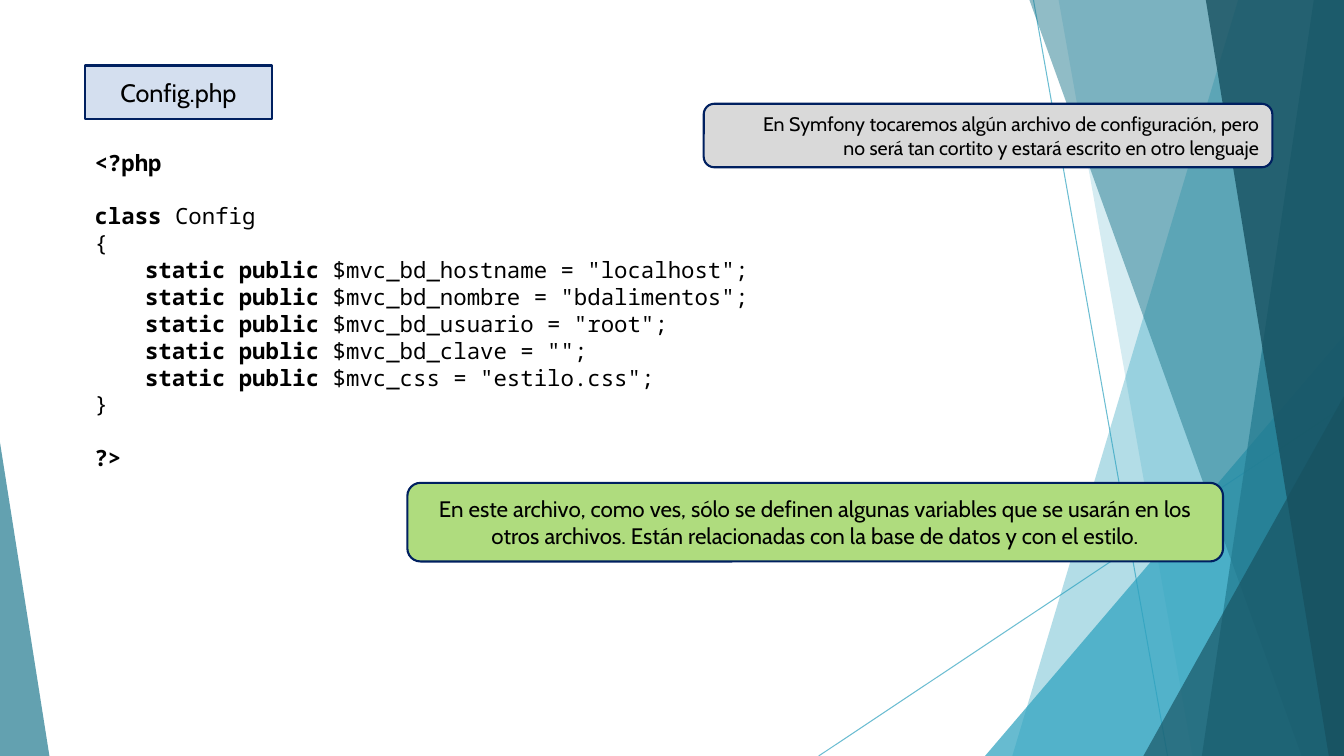
from pptx import Presentation
from pptx.dml.color import RGBColor
from pptx.enum.shapes import MSO_CONNECTOR, MSO_SHAPE
from pptx.enum.text import MSO_ANCHOR, MSO_AUTO_SIZE, PP_ALIGN
from pptx.oxml import parse_xml
from pptx.oxml.ns import nsdecls, qn
from pptx.oxml.xmlchemy import OxmlElement
from pptx.util import Inches, Pt

CENTER, RIGHT = PP_ALIGN.CENTER, PP_ALIGN.RIGHT
MIDDLE, NO_FIT = MSO_ANCHOR.MIDDLE, MSO_AUTO_SIZE.NONE
TRIANGLE, ROUNDED = MSO_SHAPE.ISOSCELES_TRIANGLE, MSO_SHAPE.ROUNDED_RECTANGLE
STRAIGHT = MSO_CONNECTOR.STRAIGHT
WIDTH, HEIGHT = 13.33, 7.5
SKY, TEAL, DEEP, NAVY, BLACK = "2DA2BF", "227A8F", "175160", "002060", "000000"

RAYS = [((10.25, 0), (11.58, HEIGHT)), ((WIDTH, 4.03), (8.12, HEIGHT))]

# Bands reach the right edge: (top x, bottom x, colour, opacity)
# Triangles stand on the bottom edge: (left, top, width, apex, colour, opacity)
BACKDROP = [
    ("band", 12.28, 10.04, SKY, 36),
    ("band", 10.5, 11.83, SKY, 20),
    ("triangle", 9.77, 3.33, 3.56, 1, SKY, 72),
    ("band", 10.21, 12.91, TEAL, 50),
    ("band", 13.03, 11.92, TEAL, 70),
    ("band", 11.96, 13.18, DEEP, 80),
    ("triangle", 11.34, 3.93, 1.99, 1, DEEP, 66),
    ("triangle", 0, 4.39, 0.49, 0, TEAL, 70),
]

TITLE = ("Config.php", (0.84, 0.65, 1.86, 0.53), "D4DFEF", 18, CENTER, 0.1)
NOTES = [
    ("En este archivo, como ves, sólo se definen algunas variables que se usarán "
     "en los otros archivos. Están relacionadas con la base de datos y con el estilo.",
     (4.04, 4.79, 8.09, 0.78), "AFDC7E", 16, CENTER, 0.1),
    ("En Symfony tocaremos algún archivo de configuración, pero no será tan cortito "
     "y estará escrito en otro lenguaje",
     (6.98, 1.03, 5.64, 0.63), "D9D9D9", 14, RIGHT, 0.45),
]

VARIABLES = [
    ("mvc_bd_hostname", "localhost"),
    ("mvc_bd_nombre", "bdalimentos"),
    ("mvc_bd_usuario", "root"),
    ("mvc_bd_clave", ""),
    ("mvc_css", "estilo.css"),
]
# Each line: (indent, bold part, plain part, space before in points)
CODE = [
    ("", "<?php", "", 0),
    ("", "class ", "Config", 19),
    ("", "", "{", 0),
    *[("\t", "static public", f' ${name} = "{value}";', 0) for name, value in VARIABLES],
    ("", "", "}", 0),
    ("", "?>", "", 19),
]


def rgb(color):
    return RGBColor.from_string(color)


def place(shape, box):
    shape.left, shape.top, shape.width, shape.height = map(Inches, box)


def fade(shape, percent):
    """Set the opacity of every colour in the shape."""
    for color in shape.element.iter(qn("a:srgbClr")):
        alpha = OxmlElement("a:alpha")
        alpha.set("val", str(percent * 1000))
        color.append(alpha)


def write(para, text, size, font, bold=False):
    span = para.add_run()
    span.text = text
    for key, value in {"size": Pt(size), "name": font, "bold": bold}.items():
        setattr(span.font, key, value)
    span.font.color.rgb = rgb(BLACK)


def fill_card(card, text, color, size, align, margin_left):
    card.fill.solid()
    card.fill.fore_color.rgb = rgb(color)
    card.line.color.rgb = rgb(NAVY)
    card.line.width = Pt(1.5)
    card.shadow.inherit = False
    frame = card.text_frame
    settings = {"word_wrap": True, "auto_size": NO_FIT, "vertical_anchor": MIDDLE,
                "margin_left": Inches(margin_left)}
    for key, value in settings.items():
        setattr(frame, key, value)
    para = frame.paragraphs[0]
    para.alignment = align
    write(para, text, size, "Cabin")


def add_ray(page, start, end):
    ray = page.shapes.add_connector(STRAIGHT, *map(Inches, start + end))
    ray.line.color.rgb = rgb(SKY)
    ray.line.width = Pt(0.75)
    ray.element.spPr.append(OxmlElement("a:effectLst"))
    fade(ray, 70)


def add_facet(page, kind, *numbers):
    *geometry, color, opacity = numbers
    if kind == "band":
        top_x, bottom_x = geometry
        builder = page.shapes.build_freeform(Inches(top_x), 0)
        corners = [(WIDTH, 0), (WIDTH, HEIGHT), (bottom_x, HEIGHT)]
        builder.add_line_segments([(Inches(x), Inches(y)) for x, y in corners])
        facet = builder.convert_to_shape()
    else:
        left, top, width, apex = geometry
        box = (left, top, width, HEIGHT - top)
        facet = page.shapes.add_shape(TRIANGLE, *map(Inches, box))
        facet.adjustments[0] = apex
    facet.fill.solid()
    facet.fill.fore_color.rgb = rgb(color)
    facet.line.fill.background()
    facet.shadow.inherit = False
    fade(facet, opacity)


def add_title(page):
    text, box, *style = TITLE
    title = page.shapes.title
    place(title, box)
    title.element.spPr.append(parse_xml(
        f'<a:prstGeom {nsdecls("a")} prst="roundRect"><a:avLst/></a:prstGeom>'))
    fill_card(title, text, *style)


def add_code(page):
    frame = page.shapes.add_textbox(*map(Inches, (0.84, 1.43, 8.96, 3.33))).text_frame
    frame.word_wrap = True
    for number, (indent, bold, plain, gap) in enumerate(CODE):
        para = frame.add_paragraph() if number else frame.paragraphs[0]
        if indent:
            para._p.get_or_add_pPr().append(parse_xml(
                f'<a:tabLst {nsdecls("a")}><a:tab pos="{Inches(0.5)}" algn="l"/></a:tabLst>'))
        para.space_before = Pt(gap)
        for text, is_bold in ((indent + bold, True), (plain, False)):
            if text:
                write(para, text, 16, "Noto Sans Mono", is_bold)


def main():
    deck = Presentation()
    deck.slide_width, deck.slide_height = Inches(WIDTH), Inches(HEIGHT)
    page = deck.slides.add_slide(deck.slide_layouts.get_by_name("Title Only"))
    for start, end in RAYS:
        add_ray(page, start, end)
    for facet in BACKDROP:
        add_facet(page, *facet)
    add_title(page)
    add_code(page)
    for text, box, *style in NOTES:
        note = page.shapes.add_shape(ROUNDED, *map(Inches, box))
        fill_card(note, text, *style)
    deck.save("out.pptx")


if __name__ == "__main__":
    main()
